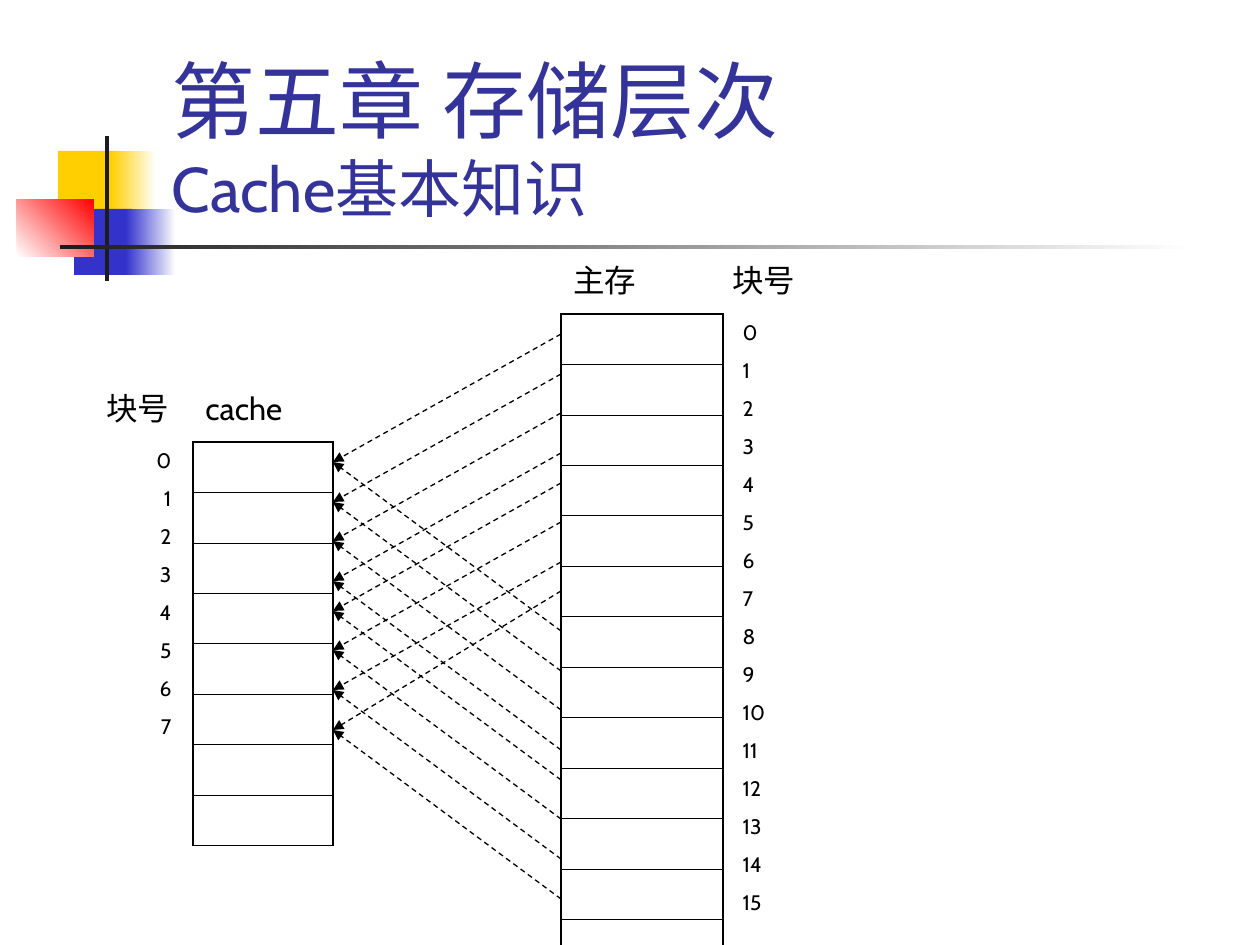
from dataclasses import dataclass

from lxml.etree import SubElement
from pptx import Presentation
from pptx.dml.color import RGBColor
from pptx.enum.dml import MSO_LINE_DASH_STYLE as Dash
from pptx.enum.shapes import MSO_CONNECTOR as Connector, MSO_SHAPE as Shape
from pptx.enum.text import MSO_ANCHOR as Anchor, PP_ALIGN as Align
from pptx.oxml import parse_xml
from pptx.oxml.ns import nsdecls, qn
from pptx.util import Emu, Pt


@dataclass(frozen=True)
class Theme:
    font: str = "Cabin"
    title: str = "333399"
    ink: str = "000000"
    bar: str = "1C1C1C"
    yellow: str = "FFCF01"
    blue: str = "3333CC"
    red: str = "FF0000"
    paper: str = "FFFFFF"
    chapter_size: int = 48
    topic_size: int = 36
    label_size: int = 18
    number_size: int = 12
    outer_line: float = 1.08
    inner_line: float = 0.45
    arrow_line: float = 0.75


THEME = Theme()
ROW_HEIGHT = 38
# Heights of the arrow ends below the first one, for cache blocks 0 to 7
ARROW_STEPS = (0, 40, 79, 119, 149, 188, 228, 268)


def px(length):
    return Emu(round(length * 914400 / 126))


def color(value):
    return RGBColor.from_string(value)


def add_span(para, text, size, ink=THEME.ink):
    span = para.add_run()
    span.text = text
    for name, value in {"name": THEME.font, "size": Pt(size)}.items():
        setattr(span.font, name, value)
    span.font.color.rgb = color(ink)


def add_text_box(page, box, anchor=Anchor.TOP):
    frame = page.shapes.add_textbox(*map(px, box)).text_frame
    for name, value in {"word_wrap": True, "vertical_anchor": anchor}.items():
        setattr(frame, name, value)
    return frame.paragraphs[0]


def add_label(page, box, text):
    add_span(add_text_box(page, box), text, THEME.label_size)


def add_block(page, box, start, end=None, angle=0):
    block = page.shapes.add_shape(Shape.RECTANGLE, *map(px, box))
    block.shadow.inherit = False
    block.line.fill.background()
    if end is None:
        block.fill.solid()
        block.fill.fore_color.rgb = color(start)
        return
    block.fill.gradient()
    block.fill.gradient_angle = angle
    for stop, value in zip(block.fill.gradient_stops, (start, end)):
        stop.color.rgb = color(value)


def add_decoration(page, box):
    left, top = box[:2]
    t = THEME
    for (x, y, width, height), *fill in (
        ((41, 15, 60, 66), t.yellow),
        ((94, 15, 45, 66), t.yellow, t.paper),
        ((57, 73, 58, 66), t.blue),
        ((109, 73, 50, 66), t.blue, t.paper),
        ((0, 63, 77, 58), t.paper, t.red, 45),
        ((88, 0, 4, 145), t.bar),
        ((43, 109, 1134, 4), t.bar, t.paper),
    ):
        add_block(page, (left + x, top + y, width, height), *fill)


def add_title(page, box):
    para = add_text_box(page, box, Anchor.BOTTOM)
    add_span(para, "第五章 存储层次", THEME.chapter_size, THEME.title)
    para.add_line_break()
    add_span(para, "Cache基本知识", THEME.topic_size, THEME.title)


def add_column(page, box, rows):
    left, top, width = box
    frame = page.shapes.add_table(
        rows, 1, px(left), px(top), px(width), px(rows * ROW_HEIGHT))
    table = frame.table
    for name in ("first_row", "horz_banding"):
        setattr(table, name, False)
    for row in table.rows:
        row.height = px(ROW_HEIGHT)
    cells = [table.cell(index, 0) for index in range(rows)]
    for cell in cells:
        cell.fill.background()
    return cells


def add_numbers(page, box, rows, align):
    for number, cell in enumerate(add_column(page, box, rows)):
        para = cell.text_frame.paragraphs[0]
        para.alignment = align
        add_span(para, str(number), THEME.number_size)


def set_borders(cell, widths):
    properties = cell._tc.get_or_add_tcPr()
    for index, (side, width) in enumerate(widths.items()):
        properties.insert(index, parse_xml(
            f'<a:ln{side} {nsdecls("a")} w="{Pt(width)}"><a:solidFill>'
            f'<a:srgbClr val="{THEME.ink}"/></a:solidFill></a:ln{side}>'))


def add_memory(page, box, rows):
    outer, inner = THEME.outer_line, THEME.inner_line
    cells = add_column(page, box, rows)
    for index, cell in enumerate(cells):
        set_borders(cell, {
            "L": outer,
            "R": outer,
            "T": outer if index == 0 else inner,
            "B": outer if index == rows - 1 else inner,
        })


def add_arrow(page, start, end):
    arrow = page.shapes.add_connector(Connector.STRAIGHT, *map(px, start + end))
    for name, value in {"width": Pt(THEME.arrow_line),
                        "dash_style": Dash.DASH}.items():
        setattr(arrow.line, name, value)
    arrow.line.color.rgb = color(THEME.ink)
    SubElement(arrow.line._get_or_add_ln(), qn("a:tailEnd"), type="triangle")
    SubElement(arrow._element.spPr, qn("a:effectLst"))


def add_mapping(page, box):
    left, top, width = box
    # The last block of the first group starts a little higher than its step
    first_group = ARROW_STEPS[:-1] + (257,)
    second_group = tuple(297 + step for step in ARROW_STEPS)
    for group in (first_group, second_group):
        for start, end in zip(group, ARROW_STEPS):
            add_arrow(page, (left + width, top + start), (left, top + 128 + end))


def add_cache(page, box):
    left, top = box
    add_numbers(page, (left, top + 59, 120), 8, Align.RIGHT)
    add_memory(page, (left + 129, top + 59, 140), 8)
    add_label(page, (left + 30, top, 99, 50), "块号")
    add_label(page, (left + 129, top, 139, 50), "cache")


def add_main_memory(page, box):
    left, top = box
    add_numbers(page, (left + 169, top + 59, 99), 16, Align.LEFT)
    add_memory(page, (left, top + 59, 162), 16)
    add_label(page, (left, top, 159, 50), "主存")
    add_label(page, (left + 159, top, 139, 50), "块号")


def main():
    deck = Presentation()
    deck.slide_width, deck.slide_height = px(1260), px(945)
    page = deck.slides.add_slide(deck.slide_layouts[6])
    add_decoration(page, (17, 136))
    add_title(page, (159, 29, 1074, 202))
    add_cache(page, (64, 383))
    add_main_memory(page, (561, 255))
    add_mapping(page, (333, 334, 228))
    deck.save("out.pptx")


if __name__ == "__main__":
    main()
